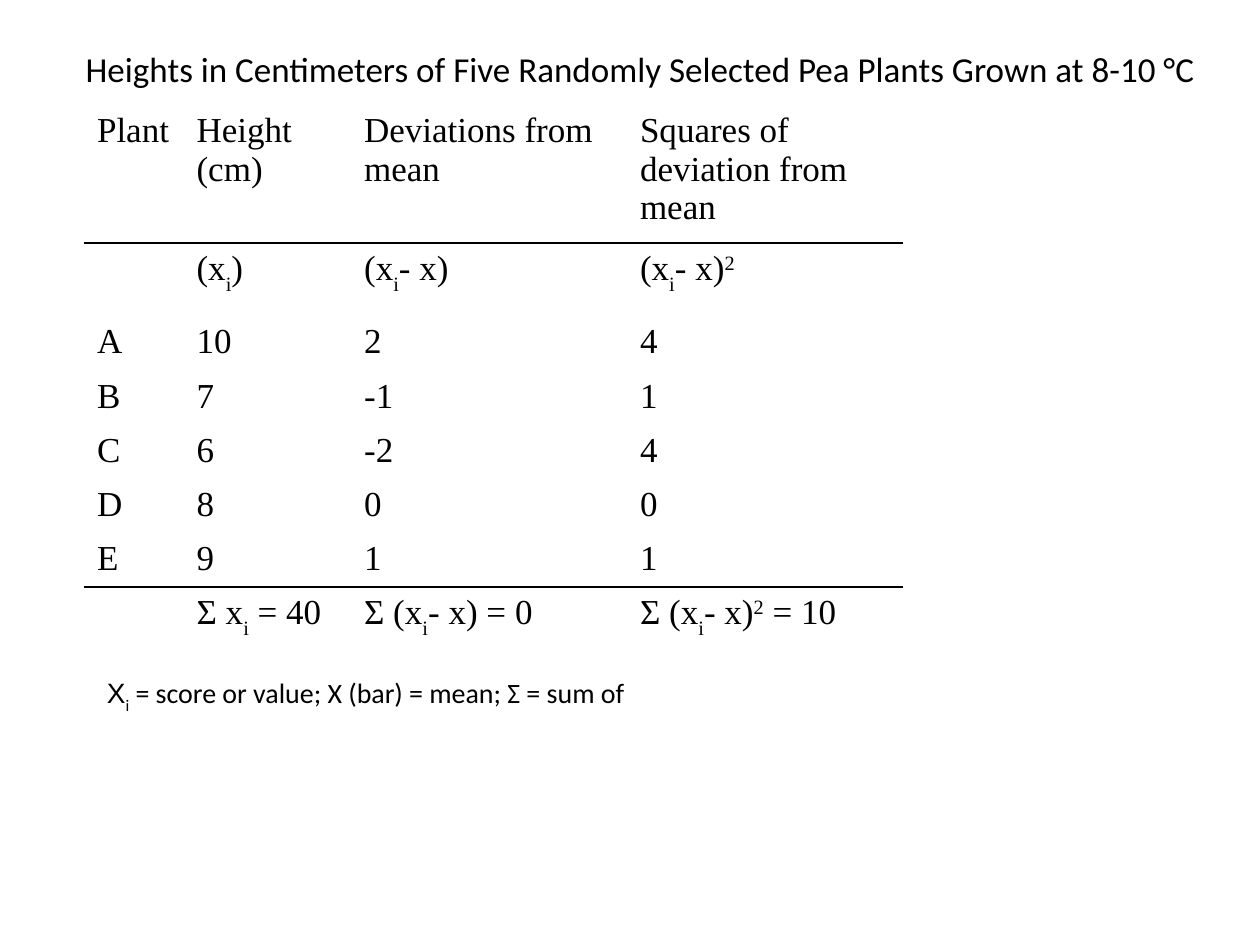
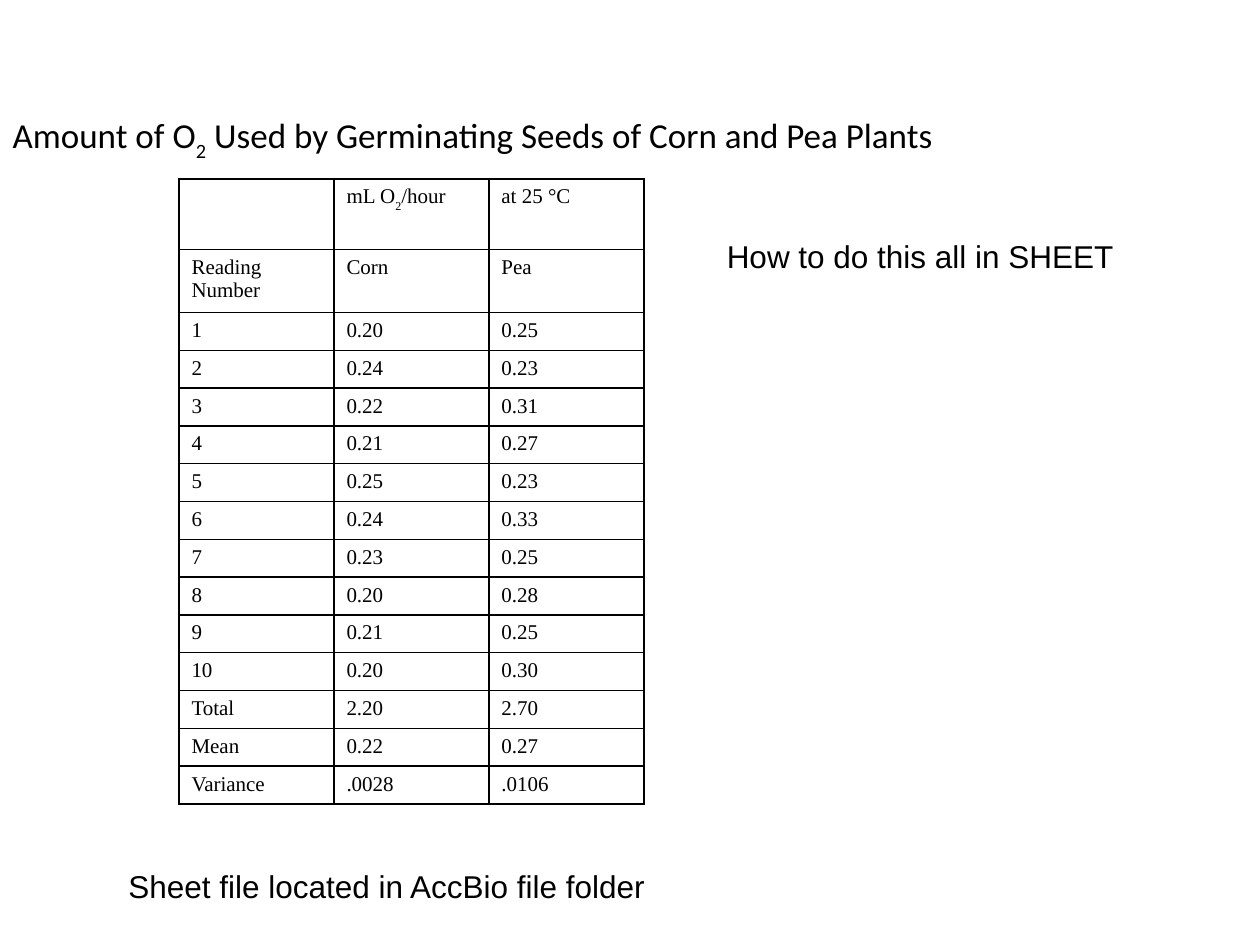
from dataclasses import dataclass

from lxml.etree import SubElement
from pptx import Presentation
from pptx.dml.color import RGBColor
from pptx.enum.text import MSO_ANCHOR, MSO_AUTO_SIZE, PP_ALIGN
from pptx.oxml.ns import qn
from pptx.util import Inches, Pt


@dataclass(frozen=True)
class Theme:
    ink: str = "000000"
    title_font: str = "Calibri"
    table_font: str = "Times New Roman"
    note_font: str = "Arial"
    title_size: int = 20
    heights_size: int = 20
    oxygen_size: int = 12
    note_size: int = 18
    legend_size: int = 16
    rule_width: int = 1


THEME = Theme()
TITLE_ONLY = 5

# Raised and lowered characters: text and baseline shift in percent
SUB_I = ("i", -30)
SUB_2 = ("2", -30)
SQUARED = ("2", 30)

# Contents
SCORE = ["(x", SUB_I, ")"]
DEVIATION = ["(x", SUB_I, "- x)"]
HEIGHTS = [
    ["Plant", "Height (cm)", "Deviations from mean",
     "Squares of deviation from mean"],
    ["", SCORE, DEVIATION, [*DEVIATION, SQUARED]],
    ["A", "10", "2", "4"],
    ["B", "7", "-1", "1"],
    ["C", "6", "-2", "4"],
    ["D", "8", "0", "0"],
    ["E", "9", "1", "1"],
    ["", ["Σ x", SUB_I, " = 40"], ["Σ (x", SUB_I, "- x) = 0"],
     ["Σ (x", SUB_I, "- x)", SQUARED, " = 10"]],
]
CORN = ["0.20", "0.24", "0.22", "0.21", "0.25", "0.24", "0.23", "0.20",
        "0.21", "0.20", "2.20", "0.22", ".0028"]
PEA = ["0.25", "0.23", "0.31", "0.27", "0.23", "0.33", "0.25", "0.28",
       "0.25", "0.30", "2.70", "0.27", ".0106"]
READINGS = [str(number) for number in range(1, 11)]
OXYGEN = [
    ["", ["mL O", SUB_2, "/hour"], "at 25 °C"],
    ["Reading Number", "Corn", "Pea"],
    *zip([*READINGS, "Total", "Mean", "Variance"], CORN, PEA),
]


def write_runs(frame, content, font, size):
    """Write a string, or a list of strings and shifted parts, as runs."""
    paragraph = frame.paragraphs[0]
    paragraph.alignment = PP_ALIGN.LEFT
    for part in [content] if isinstance(content, str) else content:
        text, shift = (part, 0) if isinstance(part, str) else part
        if not text:
            continue
        run = paragraph.add_run()
        run.text = text
        run.font.name = font
        run.font.size = Pt(size)
        run.font.color.rgb = RGBColor.from_string(THEME.ink)
        if shift:
            run.font._element.set("baseline", str(shift * 1000))


def add_titled_slide(deck, title, left, top, width, height):
    slide = deck.slides.add_slide(deck.slide_layouts[TITLE_ONLY])
    heading = slide.shapes.title
    heading.left, heading.top = Inches(left), Inches(top)
    heading.width, heading.height = Inches(width), Inches(height)
    frame = heading.text_frame
    frame.word_wrap = False
    frame.auto_size = MSO_AUTO_SIZE.NONE
    frame.vertical_anchor = MSO_ANCHOR.TOP
    write_runs(frame, title, THEME.title_font, THEME.title_size)
    return slide


def add_note(slide, content, left, top, width, height,
             font=THEME.note_font, size=THEME.note_size, wrap=True):
    note = slide.shapes.add_textbox(
        Inches(left), Inches(top), Inches(width), Inches(height))
    note.text_frame.word_wrap = wrap
    write_runs(note.text_frame, content, font, size)
    return note


def set_borders(cell, ruled_sides):
    """Rule the given sides (letters of LRTB) and clear the others."""
    properties = cell._tc.get_or_add_tcPr()
    for side in "LRTB":
        line = SubElement(properties, qn(f"a:ln{side}"),
                          w=str(Pt(THEME.rule_width)))
        if side in ruled_sides:
            fill = SubElement(line, qn("a:solidFill"))
            SubElement(fill, qn("a:srgbClr"), val=THEME.ink)
        else:
            SubElement(line, qn("a:noFill"))


def add_grid(slide, rows, left, top, widths, heights, size, sides_of_row):
    table = slide.shapes.add_table(
        len(rows), len(widths), Inches(left), Inches(top),
        Inches(sum(widths)), Inches(sum(heights))).table
    table.first_row = False
    table.horz_banding = False
    for column, width in zip(table.columns, widths):
        column.width = Inches(width)
    for index, (row, height) in enumerate(zip(rows, heights)):
        table.rows[index].height = Inches(height)
        for column, content in enumerate(row):
            cell = table.cell(index, column)
            write_runs(cell.text_frame, content, THEME.table_font, size)
            set_borders(cell, sides_of_row(index))
            cell.fill.background()


def build_heights_slide(deck):
    slide = add_titled_slide(
        deck, "Heights in Centimeters of Five Randomly Selected Pea Plants "
        "Grown at 8-10 °C", 0.58, 0.33, 9.06, 0.73)

    # Rules below the headings and above the sums
    sums = len(HEIGHTS) - 1
    rules = {0: "B", 1: "T", sums - 1: "B", sums: "T"}
    add_grid(slide, HEIGHTS, 0.67, 0.83, [0.79, 1.33, 2.19, 2.19],
             [1.1, 0.58, *[0.43] * 5, 0.58], THEME.heights_size,
             lambda index: rules.get(index, ""))

    # Legend: the leading X has its own font
    legend = add_note(
        slide, ["X", SUB_I, " = score or value; X (bar) = mean; Σ = sum of"],
        0.75, 5.31, 4.41, 0.37, THEME.title_font, THEME.legend_size, False)
    symbol = legend.text_frame.paragraphs[0].runs[0]
    symbol.font.name = THEME.note_font


def build_oxygen_slide(deck):
    slide = add_titled_slide(
        deck, ["Amount of O", SUB_2,
               " Used by Germinating Seeds of Corn and Pea Plants"],
        0, 0.85, 7.53, 0.77)
    add_grid(slide, OXYGEN, 1.42, 1.42, [1.23] * 3,
             [0.56, 0.5, *[0.3] * len(CORN)], THEME.oxygen_size,
             lambda index: "LRTB")
    add_note(slide, "Sheet file located in AccBio file folder",
             0.92, 6.83, 7.92, 0.4)
    add_note(slide, "How to do this all in SHEET", 5.67, 1.83, 4, 0.4)


def main():
    deck = Presentation()
    deck.slide_width, deck.slide_height = Inches(10), Inches(7.5)
    build_heights_slide(deck)
    build_oxygen_slide(deck)
    deck.save("out.pptx")


if __name__ == "__main__":
    main()
